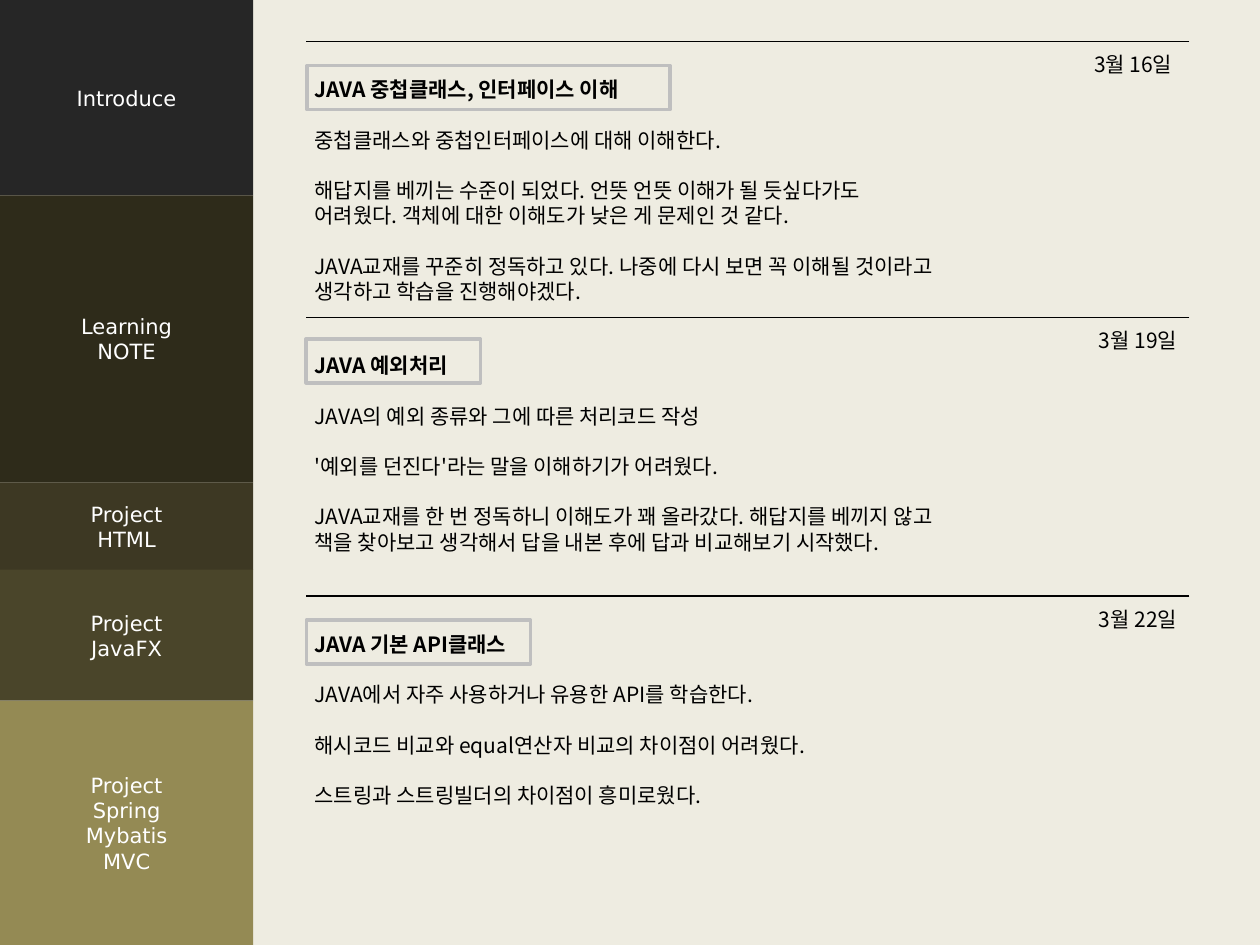
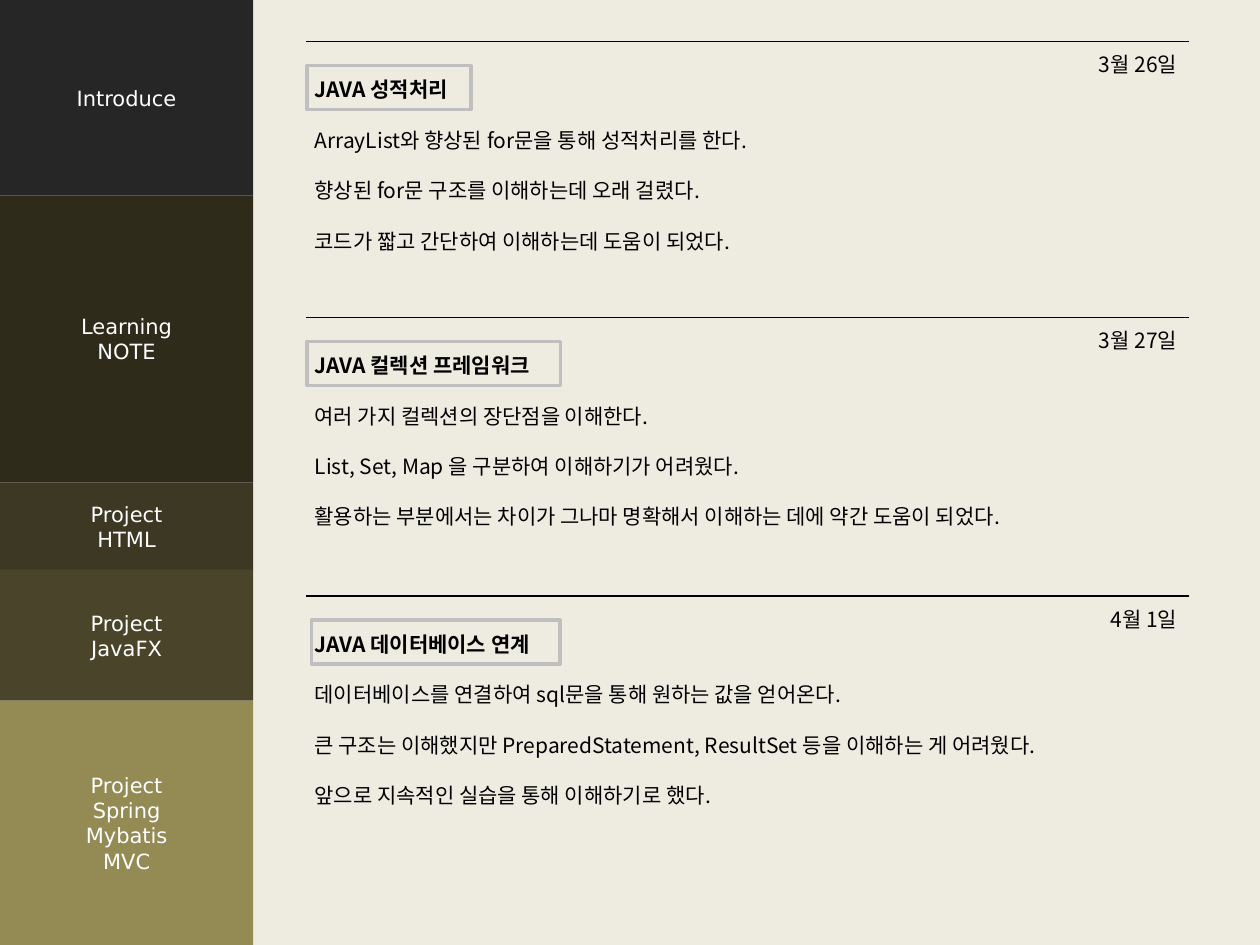
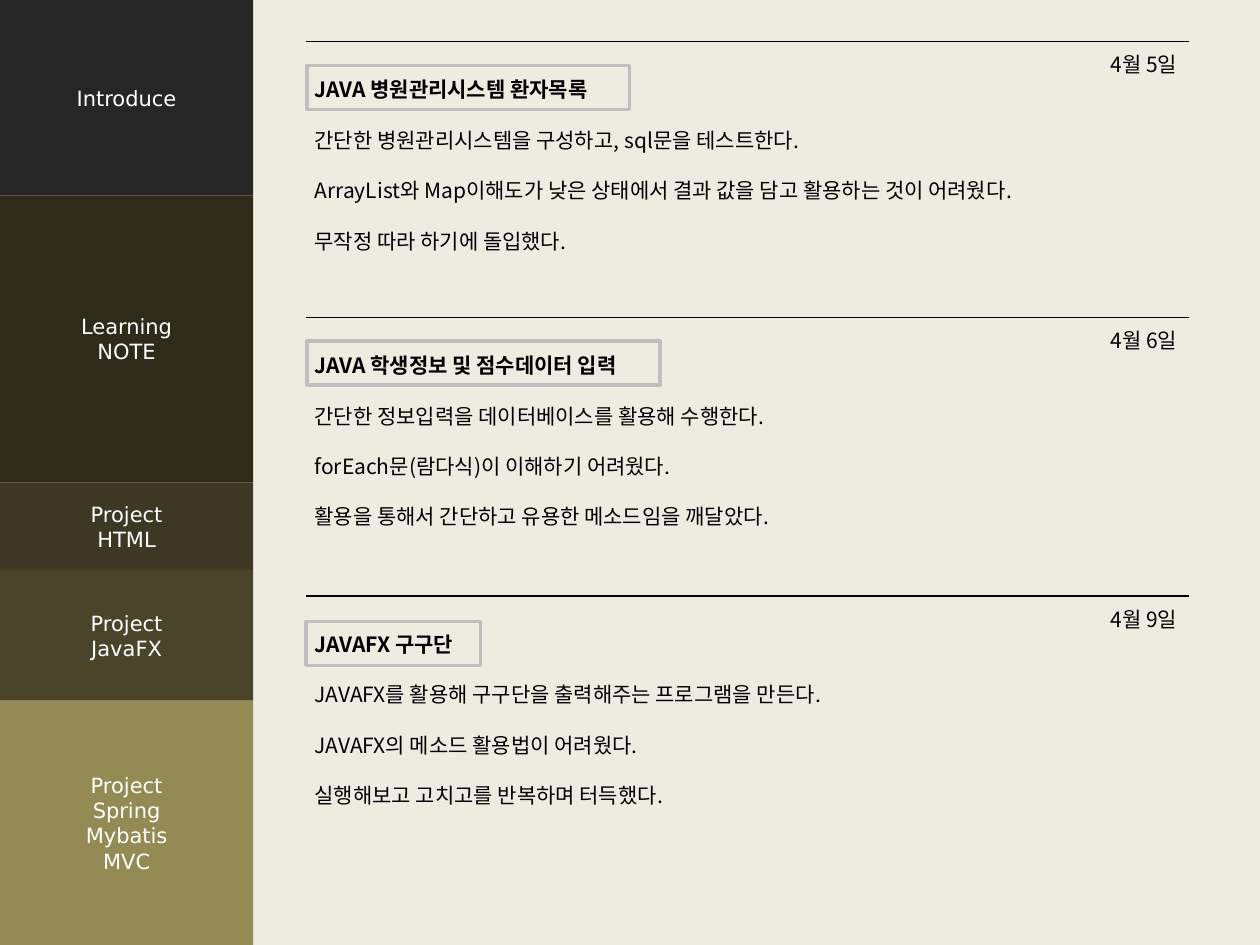
import pptx
import pptx.util
import pptx.dml.color
import pptx.enum.shapes
import pptx.enum.text
import pptx.oxml.ns
from lxml import etree

Pt = pptx.util.Pt
ALIGN = pptx.enum.text.PP_ALIGN
RECT = pptx.enum.shapes.MSO_SHAPE.RECTANGLE

PAPER, INK, WHITE, GREY = "EEECE1", "000000", "FFFFFF", "BFBFBF"
SANS, KOREAN = "DejaVu Sans", "Noto Sans CJK KR"
SIZE, PITCH = 12, 14.4
WIDE, HIGH = 720, 540

# Sidebar: top, fill, lines of the label
MENU_WIDTH = 144.7
MENU = [
    (0, "262626", ["Introduce"]),
    (111.6, "2E2B1A", ["Learning", "NOTE"]),
    (275.8, "3D3823", ["Project", "HTML"]),
    (325.6, "4A452A", ["Project", "JavaFX"]),
    (400.5, "948A54", ["Project", "Spring", "Mybatis", "MVC"]),
]

# Notes: rule positions, then what hangs below each rule
RULES = [23.8, 181.4, 340.6]
RULE_LEFT, RULE_RIGHT = 175, 679.7
NOTE_LEFT, NOTE_DROP = 172.8, 2.2
FRAME_HEIGHT = 25.2

# Each note: date, title, title frame (left, drop below rule, width),
# note height, groups of lines
DAYS = [
    [
        ("3월 16일 ", "JAVA 중첩클래스, 인터페이스 이해", (175.5, 13.7, 207.4), 167, [
            ["중첩클래스와 중첩인터페이스에 대해 이해한다."],
            ["해답지를 베끼는 수준이 되었다. 언뜻 언뜻 이해가 될 듯싶다가도",
             "어려웠다. 객체에 대한 이해도가 낮은 게 문제인 것 같다."],
            ["JAVA교재를 꾸준히 정독하고 있다. 나중에 다시 보면 꼭 이해될 것이라고",
             "생각하고 학습을 진행해야겠다."]]),
        ("3월 19일", "JAVA 예외처리", (175, 12.2, 99.6), 138.2, [
            ["JAVA의 예외 종류와 그에 따른 처리코드 작성"],
            ["'예외를 던진다'라는 말을 이해하기가 어려웠다."],
            ["JAVA교재를 한 번 정독하니 이해도가 꽤 올라갔다. 해답지를 베끼지 않고",
             "책을 찾아보고 생각해서 답을 내본 후에 답과 비교해보기 시작했다."]]),
        ("3월 22일", "JAVA 기본 API클래스", (175, 13.7, 128.2), 123.8, [
            ["JAVA에서 자주 사용하거나 유용한 API를 학습한다."],
            ["해시코드 비교와 equal연산자 비교의 차이점이 어려웠다."],
            ["스트링과 스트링빌더의 차이점이 흥미로웠다."]]),
    ],
    [
        ("3월 26일", "JAVA 성적처리", (175.5, 13.7, 93.6), 138.2, [
            ["ArrayList와 향상된 for문을 통해 성적처리를 한다."],
            ["향상된 for문 구조를 이해하는데 오래 걸렸다."],
            ["코드가 짧고 간단하여 이해하는데 도움이 되었다."]]),
        ("3월 27일", "JAVA 컬렉션 프레임워크", (175.5, 13.7, 144.7), 123.8, [
            ["여러 가지 컬렉션의 장단점을 이해한다."],
            ["List, Set, Map 을 구분하여 이해하기가 어려웠다."],
            ["활용하는 부분에서는 차이가 그나마 명확해서 이해하는 데에 약간 도움이 되었다."]]),
        ("4월 1일", "JAVA 데이터베이스 연계", (178, 13.7, 142), 123.8, [
            ["데이터베이스를 연결하여 sql문을 통해 원하는 값을 얻어온다."],
            ["큰 구조는 이해했지만 PreparedStatement, ResultSet 등을 이해하는 게 어려웠다."],
            ["앞으로 지속적인 실습을 통해 이해하기로 했다."]]),
    ],
    [
        ("4월 5일", "JAVA 병원관리시스템 환자목록", (175.5, 13.7, 184.3), 138.2, [
            ["간단한 병원관리시스템을 구성하고, sql문을 테스트한다."],
            ["ArrayList와 Map이해도가 낮은 상태에서 결과 값을 담고 활용하는 것이 어려웠다."],
            ["무작정 따라 하기에 돌입했다."]]),
        ("4월 6일", "JAVA 학생정보 및 점수데이터 입력", (175.5, 13.3, 201.6), 123.8, [
            ["간단한 정보입력을 데이터베이스를 활용해 수행한다."],
            ["forEach문(람다식)이 이해하기 어려웠다."],
            ["활용을 통해서 간단하고 유용한 메소드임을 깨달았다."]]),
        ("4월 9일", "JAVAFX 구구단", (175, 14.4, 99.6), 123.8, [
            ["JAVAFX를 활용해 구구단을 출력해주는 프로그램을 만든다."],
            ["JAVAFX의 메소드 활용법이 어려웠다."],
            ["실행해보고 고치고를 반복하며 터득했다."]]),
    ],
]


def paint(color, code):
    color.rgb = pptx.dml.color.RGBColor.from_string(code)


def add_box(slide, left, top, width, height, fill=None, line=None):
    box = slide.shapes.add_shape(RECT, Pt(left), Pt(top), Pt(width), Pt(height))
    box.shadow.inherit = False
    if fill:
        box.fill.solid()
        paint(box.fill.fore_color, fill)
    else:
        box.fill.background()
    if line:
        paint(box.line.color, line)
        box.line.width = Pt(2)
    else:
        box.line.fill.background()
    return box


def add_rule(slide, top):
    rule = slide.shapes.add_connector(
        pptx.enum.shapes.MSO_CONNECTOR.STRAIGHT,
        Pt(RULE_RIGHT), Pt(top), Pt(RULE_LEFT), Pt(top))
    paint(rule.line.color, INK)
    rule.line.width = Pt(0.75)
    etree.SubElement(rule._element.spPr, pptx.oxml.ns.qn("a:effectLst"))


def add_text(frame, text, font=KOREAN, color=INK, align=ALIGN.LEFT,
             bold=False, gap=0):
    """Add one line of text, using the first paragraph while it is empty."""
    para = frame.paragraphs[0]
    if para.runs:
        para = frame.add_paragraph()
    para.alignment = align
    para.line_spacing = Pt(PITCH)
    if gap:
        para.space_before = Pt(gap)
    run = para.add_run()
    run.text = text
    run.font.size = Pt(SIZE)
    run.font.bold = bold
    paint(run.font.color, color)
    run.font.name = font
    east = etree.SubElement(run.font._element, pptx.oxml.ns.qn("a:ea"))
    east.set("typeface", font)


def add_menu(slide):
    ends = [top for top, _, _ in MENU[1:]] + [HIGH]
    for (top, fill, label), end in zip(MENU, ends):
        band = add_box(slide, 0, top, MENU_WIDTH, end - top, fill=fill)
        frame = band.text_frame
        frame.vertical_anchor = pptx.enum.text.MSO_ANCHOR.MIDDLE
        for line in label:
            add_text(frame, line, font=SANS, color=WHITE, align=ALIGN.CENTER)


def add_note(slide, top, date, title, height, groups):
    add_rule(slide, top)
    note = add_box(slide, NOTE_LEFT, top + NOTE_DROP,
                   RULE_RIGHT - NOTE_LEFT, height, fill=PAPER)
    frame = note.text_frame
    frame.word_wrap = True
    frame.vertical_anchor = pptx.enum.text.MSO_ANCHOR.TOP
    add_text(frame, date, align=ALIGN.RIGHT)
    add_text(frame, title, bold=True)
    for group in groups:
        for i, line in enumerate(group):
            add_text(frame, line, gap=0 if i else PITCH)


def main():
    deck = pptx.Presentation()
    deck.slide_width, deck.slide_height = Pt(WIDE), Pt(HIGH)
    back = deck.slide_master.background.fill
    back.solid()
    paint(back.fore_color, PAPER)
    for notes in DAYS:
        slide = deck.slides.add_slide(deck.slide_layouts[6])
        for top, (date, title, _, height, groups) in zip(RULES, notes):
            add_note(slide, top, date, title, height, groups)
        for top, (_, _, (left, drop, width), _, _) in zip(RULES, notes):
            add_box(slide, left, top + drop, width, FRAME_HEIGHT, line=GREY)
        add_menu(slide)
    deck.save("out.pptx")


if __name__ == "__main__":
    main()
